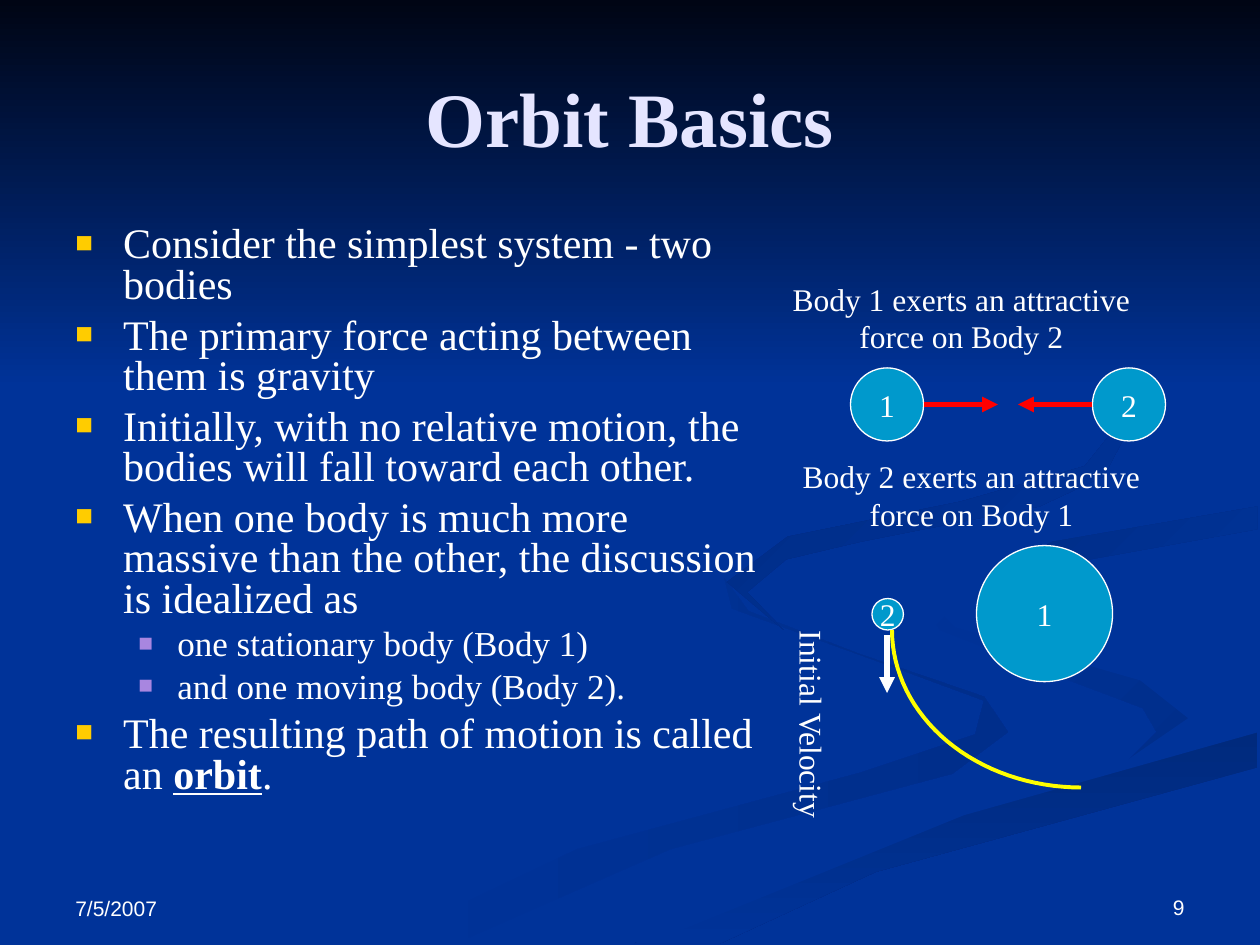
import math

from lxml import etree
from pptx import Presentation
from pptx.dml.color import RGBColor
from pptx.enum.shapes import MSO_CONNECTOR, MSO_SHAPE
from pptx.enum.text import MSO_ANCHOR, PP_ALIGN
from pptx.oxml.ns import qn
from pptx.util import Inches, Pt

STRAIGHT = MSO_CONNECTOR.STRAIGHT
OVAL = MSO_SHAPE.OVAL
TOP, MIDDLE, BOTTOM = MSO_ANCHOR.TOP, MSO_ANCHOR.MIDDLE, MSO_ANCHOR.BOTTOM
LEFT, CENTER, RIGHT = PP_ALIGN.LEFT, PP_ALIGN.CENTER, PP_ALIGN.RIGHT
SERIF, SANS = "Times New Roman", "Arial"

COLORS = {
    "space": "003399", "night": "000514", "title": "E5E5FF", "text": "FFFFFF",
    "bullet": "FFCC00", "sub_bullet": "A886E0", "body": "0099CC",
    "force": "FF0000", "path": "FFFF00",
    "shade_a": "002E8B", "shade_b": "002A7D", "shade_c": "002D86", "shade_d": "002B82",
}

SWIRLS = [
    ("space", "shade_a", 0, [
        (7.81, 5.53), (6.82, 5.19), (5.94, 4.85), (5.75, 4.59), (5.81, 4.83), (6.97, 5.25),
        (7.81, 5.56), (7.74, 5.83), (6.84, 6.13), (4.58, 6.74), (3, 7.49), (3.61, 7.49),
        (5.32, 6.74), (7.56, 6.14), (8, 5.81)]),
    ("space", "shade_a", 45, [
        (9.43, 5.7), (9.05, 5.4), (7.58, 4.98), (7.24, 4.64), (7.46, 5), (8.38, 5.36),
        (9.07, 5.62), (9.18, 5.81), (8.94, 6.05), (9.37, 5.86)]),
    ("shade_b", "space", 90, [
        (5.03, 7.49), (5.71, 7.49), (6.95, 6.92), (9.98, 6.09), (9.98, 5.81), (7.64, 6.47),
        (6.3, 6.93)]),
    ("space", None, 0, [
        (7.25, 4.64), (7.59, 4.98), (9.05, 5.4), (9.43, 5.7), (8.92, 6.05), (6.63, 6.68),
        (4.77, 7.49), (5.19, 7.47), (7.65, 6.47), (9.99, 5.81), (9.99, 5.38), (8.32, 4.98),
        (7.81, 4.63), (8.22, 4.34), (9.99, 4.02), (9.99, 3.87), (7.7, 4.27)]),
    ("shade_c", "space", 45, [
        (7.81, 4.6), (7.91, 4.78), (8.26, 4.96), (8.05, 4.72), (8.43, 4.48), (9.98, 4.2),
        (9.98, 4.02), (8.35, 4.3)]),
    ("shade_d", "space", 45, [
        (6.83, 4.3), (8.25, 4.02), (8.76, 3.78), (8.94, 3.44), (8.73, 2.99), (7.62, 2.33),
        (8.62, 2.92), (8.89, 3.35), (8.61, 3.7), (7.63, 3.98), (6.25, 4.26), (5.77, 4.62),
        (6.22, 5), (5.93, 4.7), (6.24, 4.44)]),
    ("night", "space", 90, [(0, 0), (0, 3.08), (10, 3.08), (10, 0)]),
]

POINTS = [
    (0, ["Consider the simplest system - two bodies"]),
    (0, ["The primary force acting between them is gravity"]),
    (0, ["Initially, with no relative motion, the bodies will fall toward each other."]),
    (0, ["When one body is much more massive than the other, the discussion is idealized as"]),
    (1, ["one stationary body (Body 1)"]),
    (1, ["and one moving body (Body 2)."]),
    (0, ["The resulting path of motion is called an ", "orbit", "."]),
]
LEVELS = [(24, 6, 0.38, -0.38, "bullet"), (20, 5, 0.81, -0.31, "sub_bullet")]


def rgb(name):
    """Look up a palette colour."""
    return RGBColor.from_string(COLORS[name])


def style_font(font, size, color="text", face=SERIF, bold=False):
    """Set the face, size, colour and weight of a font."""
    font.name, font.size, font.bold = face, Pt(size), bold
    font.color.rgb = rgb(color)


def add_outline(slide, points, close):
    """Draw a freeform through points given in inches."""
    start, *rest = [(Inches(x), Inches(y)) for x, y in points]
    builder = slide.shapes.build_freeform(*start)
    builder.add_line_segments(rest, close=close)
    outline = builder.convert_to_shape()
    outline.shadow.inherit = False
    return outline


def add_swirl(slide, first, last, angle, points):
    """Add a backdrop area with a solid or a clockwise-angled gradient fill."""
    swirl = add_outline(slide, points, True)
    swirl.line.fill.background()
    if last is None:
        swirl.fill.solid()
        swirl.fill.fore_color.rgb = rgb(first)
        return
    swirl.fill.gradient()
    swirl.fill.gradient_angle = -angle % 360
    for stop, color in zip(swirl.fill.gradient_stops, (first, last)):
        stop.color.rgb = rgb(color)


def add_label(slide, text, box, size=18, align=CENTER, anchor=TOP, rotation=0, **font):
    """Add a wrapped one-paragraph text box."""
    label = slide.shapes.add_textbox(*map(Inches, box))
    label.rotation = rotation
    frame = label.text_frame
    frame.word_wrap, frame.vertical_anchor = True, anchor
    frame.text = text
    frame.paragraphs[0].alignment = align
    style_font(frame.paragraphs[0].runs[0].font, size, **font)


def add_bullet(paragraph, color, indent, hanging):
    """Give a paragraph a coloured square bullet and a hanging indent."""
    properties = paragraph._p.get_or_add_pPr()
    properties.set("marL", str(Inches(indent)))
    properties.set("indent", str(Inches(hanging)))
    bullet_color = etree.SubElement(properties, qn("a:buClr"))
    etree.SubElement(bullet_color, qn("a:srgbClr"), val=COLORS[color])
    etree.SubElement(properties, qn("a:buSzPct"), val="70000")
    etree.SubElement(properties, qn("a:buFont"), typeface=SANS)
    etree.SubElement(properties, qn("a:buChar"), char="■")


def add_points(slide, box):
    """Add the two-level bullet list."""
    frame = slide.shapes.add_textbox(*map(Inches, box)).text_frame
    frame.word_wrap = True
    for index, (level, pieces) in enumerate(POINTS):
        size, space, indent, hanging, color = LEVELS[level]
        point = frame.add_paragraph() if index else frame.paragraphs[0]
        point.level, point.line_spacing = level, 0.8
        point.space_before = Pt(space if index else 0)
        add_bullet(point, color, indent, hanging)
        for piece in pieces:
            run = point.add_run()
            run.text = piece
            key_term = piece == "orbit"
            style_font(run.font, size, bold=key_term)
            run.font.underline = key_term


def add_body(slide, number, left, top, diameter):
    """Add a numbered celestial body."""
    body = slide.shapes.add_shape(OVAL, *map(Inches, (left, top, diameter, diameter)))
    body.shadow.inherit = False
    body.fill.solid()
    body.fill.fore_color.rgb = rgb("body")
    body.line.color.rgb, body.line.width = rgb("text"), Pt(0.75)
    frame = body.text_frame
    frame.word_wrap, frame.vertical_anchor = False, MIDDLE
    frame.text = number
    frame.paragraphs[0].alignment = CENTER
    style_font(frame.paragraphs[0].runs[0].font, 18)


def add_arrow(slide, color, *ends):
    """Add an arrow from its tail to its tip."""
    arrow = slide.shapes.add_connector(STRAIGHT, *map(Inches, ends))
    arrow.line.color.rgb, arrow.line.width = rgb(color), Pt(3)
    etree.SubElement(arrow.line._get_or_add_ln(), qn("a:tailEnd"), type="triangle")
    etree.SubElement(arrow._element.spPr, qn("a:effectLst"))


def add_orbit_path(slide, center_x, center_y, radius_x, radius_y, steps=32):
    """Draw the lower left quarter of an elliptical orbit."""
    angles = [math.pi / 2 * (1 + step / steps) for step in range(steps + 1)]
    orbit = add_outline(slide, [(center_x + radius_x * math.cos(a),
                                 center_y + radius_y * math.sin(a)) for a in angles], False)
    orbit.fill.background()
    orbit.line.color.rgb, orbit.line.width = rgb("path"), Pt(2.25)


def main():
    """Build the slide and save it."""
    deck = Presentation()
    deck.slide_width, deck.slide_height = Inches(10), Inches(7.5)
    slide = deck.slides.add_slide(deck.slide_layouts[6])
    slide.background.fill.solid()
    slide.background.fill.fore_color.rgb = rgb("space")
    for swirl in SWIRLS:
        add_swirl(slide, *swirl)
    add_label(slide, "7/5/2007", (0.5, 6.84, 2.33, 0.52), 12, LEFT, BOTTOM, face=SANS)
    add_label(slide, "9", (7.17, 6.83, 2.33, 0.52), 12, RIGHT, BOTTOM, face=SANS)
    add_label(slide, "Orbit Basics", (0.5, 0.3, 9, 1.25), 44, anchor=MIDDLE,
              color="title", bold=True)
    add_points(slide, (0.5, 1.75, 5.67, 5.42))
    for number, left in (("1", 6.75), ("2", 8.67)):
        add_body(slide, number, left, 2.92, 0.58)
    for tail, tip in ((7.33, 7.92), (8.67, 8.08)):
        add_arrow(slide, "force", tail, 3.21, tip, 3.21)
    add_body(slide, "2", 6.92, 4.75, 0.25)
    add_body(slide, "1", 7.75, 4.33, 1.08)
    add_arrow(slide, "text", 7.04, 5.04, 7.04, 5.5)
    add_orbit_path(slide, 8.58, 5, 1.5, 1.25)
    add_label(slide, "Body 1 exerts an attractive force on Body 2", (6.17, 2.17, 2.92, 1))
    add_label(slide, "Body 2 exerts an attractive force on Body 1", (6.25, 3.58, 2.92, 1))
    add_label(slide, "Initial Velocity", (5.38, 5.4, 1.83, 0.7), rotation=90)
    deck.save("out.pptx")


if __name__ == "__main__":
    main()
